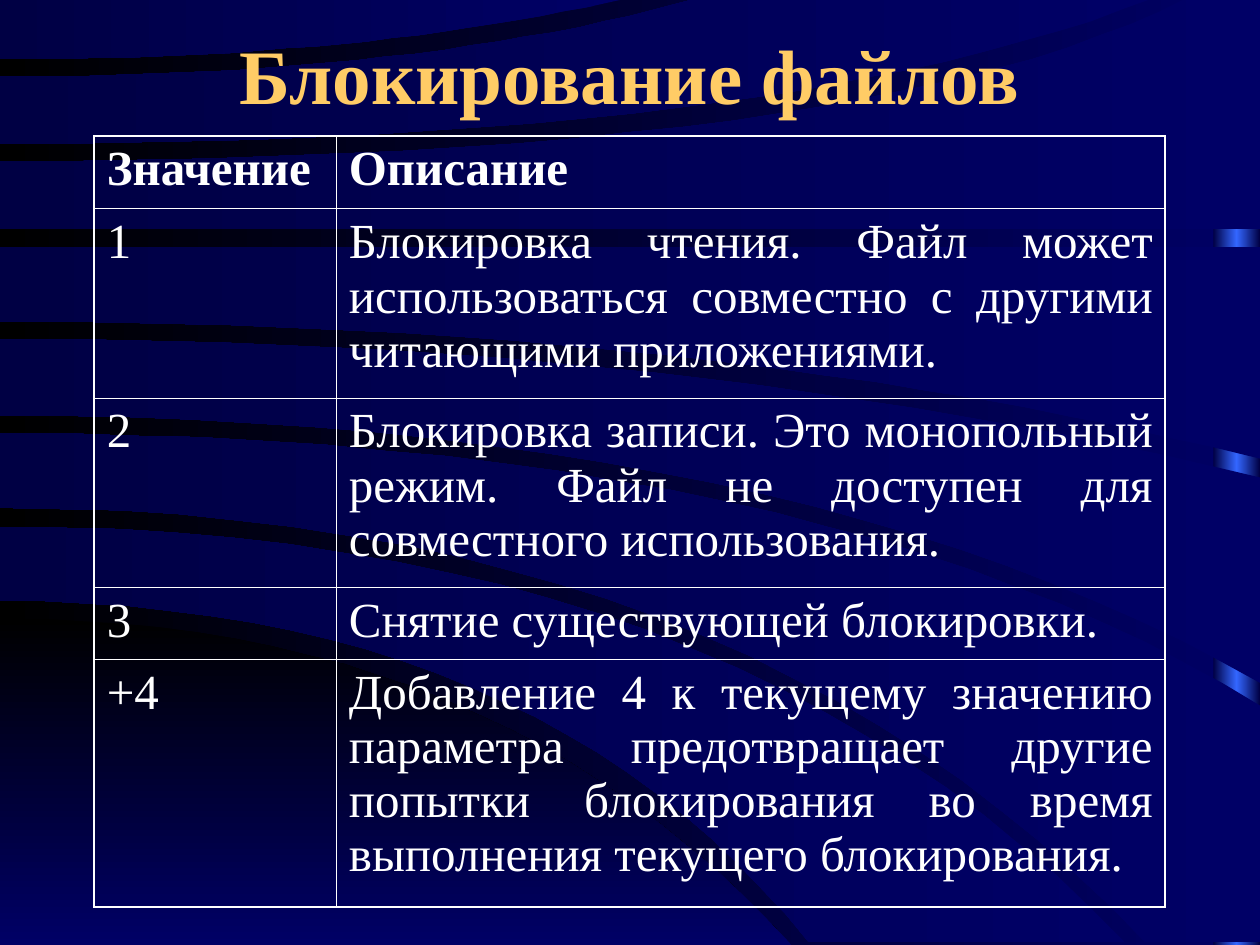
"""Build a slide with a table of file locking values over curved blue bands."""
from copy import deepcopy

from lxml.etree import SubElement
from pptx import Presentation
from pptx.dml.color import RGBColor
from pptx.enum.shapes import MSO_SHAPE
from pptx.enum.text import MSO_ANCHOR, PP_ALIGN
from pptx.oxml.ns import qn
from pptx.util import Cm, Pt

BLACK = RGBColor(0x00, 0x00, 0x00)
NAVY = RGBColor(0x00, 0x00, 0x44)
BLUE = RGBColor(0x00, 0x00, 0x66)
BRIGHT = RGBColor(0x33, 0x66, 0xFF)
GOLD = RGBColor(0xFF, 0xCC, 0x66)
WHITE = RGBColor(0xFF, 0xFF, 0xFF)
FONT = "Times New Roman"
UNIT = Cm(0.0254)
STEPS = 24

TITLE = "Блокирование файлов"
ROWS = [
    ("Значение", "Описание"),
    ("1", "Блокировка чтения. Файл может использоваться совместно с другими читающими приложениями."),
    ("2", "Блокировка записи. Это монопольный режим. Файл не доступен для совместного использования."),
    ("3", "Снятие существующей блокировки."),
    ("+4", "Добавление 4 к текущему значению параметра предотвращает другие попытки "
           "блокирования во время выполнения текущего блокирования."),
]
WIDTHS = [4.88, 16.71]
HEIGHTS = [1.47, 3.81, 3.81, 1.45, 5]

CORNER = ((491, 393, 628, 750), (750, 300, 628, 750))
BANDS = [
    ((418, 579, 893, 748), (477, 425, 642, 748)),
    ((344, 650, 1000, 560), (403, 585, 909, 748)),
    ((269, 542, 1000, 379), (330, 630, 1000, 542)),
    ((196, 500, 1000, 196), (255, 564, 1000, 364)),
    ((128, 690, 943, -2), (182, 500, 1000, 182)),
    ((61, 335, 556, -2), (114, 625, 917, -2)),
    ((-2, 250, 501, -2), (47, 290, 501, -2)),
]


def shade(fill, first, last, angle=180):
    fill.gradient()
    fill.gradient_angle = angle
    for stop, tint in zip(fill.gradient_stops, (first, last)):
        stop.color.rgb = tint


def trace(start, bend, right, end):
    points = []
    for step in range(STEPS + 1):
        t = step / STEPS
        x = 2 * t * (1 - t) * bend + t * t * right
        y = start + t * t * (end - start)
        points.append((round(x), round(y)))
    return points


def add_band(shapes, edges, first, last, angle=180):
    top, low = edges
    corner = (max(top[2], low[2]), min(edges, key=lambda edge: edge[2])[3])
    points = trace(*top) + [corner] + trace(*low)[::-1]
    pen = shapes.build_freeform(*points[0], scale=UNIT)
    pen.add_line_segments(points[1:])
    band = pen.convert_to_shape()
    band.shadow.inherit = False
    band.line.fill.background()
    shade(band.fill, first, last, angle)


def add_strip(shapes):
    strip = shapes.add_shape(MSO_SHAPE.RECTANGLE, Cm(24.46), 0, Cm(0.94), Cm(19.05))
    strip.shadow.inherit = False
    strip.line.fill.background()
    shade(strip.fill, NAVY, NAVY)
    stops = next(strip._element.iter(qn("a:gsLst")))
    stops.insert(1, deepcopy(stops[0]))
    mid = strip.fill.gradient_stops[1]
    mid.position = 0.5
    mid.color.rgb = BRIGHT


def write(frame, text, size, tint, bold, align):
    frame.text = text
    para = frame.paragraphs[0]
    para.alignment = align
    font = para.font
    font.name, font.size, font.bold = FONT, Pt(size), bold
    font.color.rgb = tint


def add_edge(cell, side, outer):
    width = Pt(1.08 if outer else 0.45)
    edge = SubElement(cell._tc.get_or_add_tcPr(), qn(f"a:ln{side}"), w=str(width))
    fill = SubElement(edge, qn("a:solidFill"))
    SubElement(fill, qn("a:srgbClr"), val=str(WHITE))


def add_grid(shapes):
    frame = shapes.add_table(len(ROWS), len(WIDTHS), Cm(1.9), Cm(2.74),
                             Cm(sum(WIDTHS)), Cm(sum(HEIGHTS)))
    table = frame.table
    table.first_row = table.horz_banding = False
    for col, width in zip(table.columns, WIDTHS):
        col.width = Cm(width)
    for r, (row, height) in enumerate(zip(table.rows, HEIGHTS)):
        row.height = Cm(height)
        for c, text in enumerate(ROWS[r]):
            cell = table.cell(r, c)
            write(cell.text_frame, text, 28, WHITE, r == 0, PP_ALIGN.JUSTIFY)
            outer = {"L": c == 0, "R": c == len(WIDTHS) - 1,
                     "T": r == 0, "B": r == len(ROWS) - 1}
            for side, flag in outer.items():
                add_edge(cell, side, flag)
            cell.fill.background()


def main():
    deck = Presentation()
    deck.slide_width, deck.slide_height = Cm(25.4), Cm(19.05)
    slide = deck.slides.add_slide(deck.slide_layouts[6])
    shapes = slide.shapes
    shade(slide.background.fill, BLUE, BLACK)
    add_strip(shapes)
    add_band(shapes, CORNER, BLACK, BLUE, 270)
    for edges in BANDS:
        add_band(shapes, edges, BLUE, NAVY)
    frame = shapes.add_textbox(Cm(1.9), Cm(0.43), Cm(21.59), Cm(2.11)).text_frame
    frame.word_wrap = True
    frame.vertical_anchor = MSO_ANCHOR.MIDDLE
    write(frame, TITLE, 44, GOLD, True, PP_ALIGN.CENTER)
    add_grid(shapes)
    deck.save("out.pptx")


if __name__ == "__main__":
    main()
